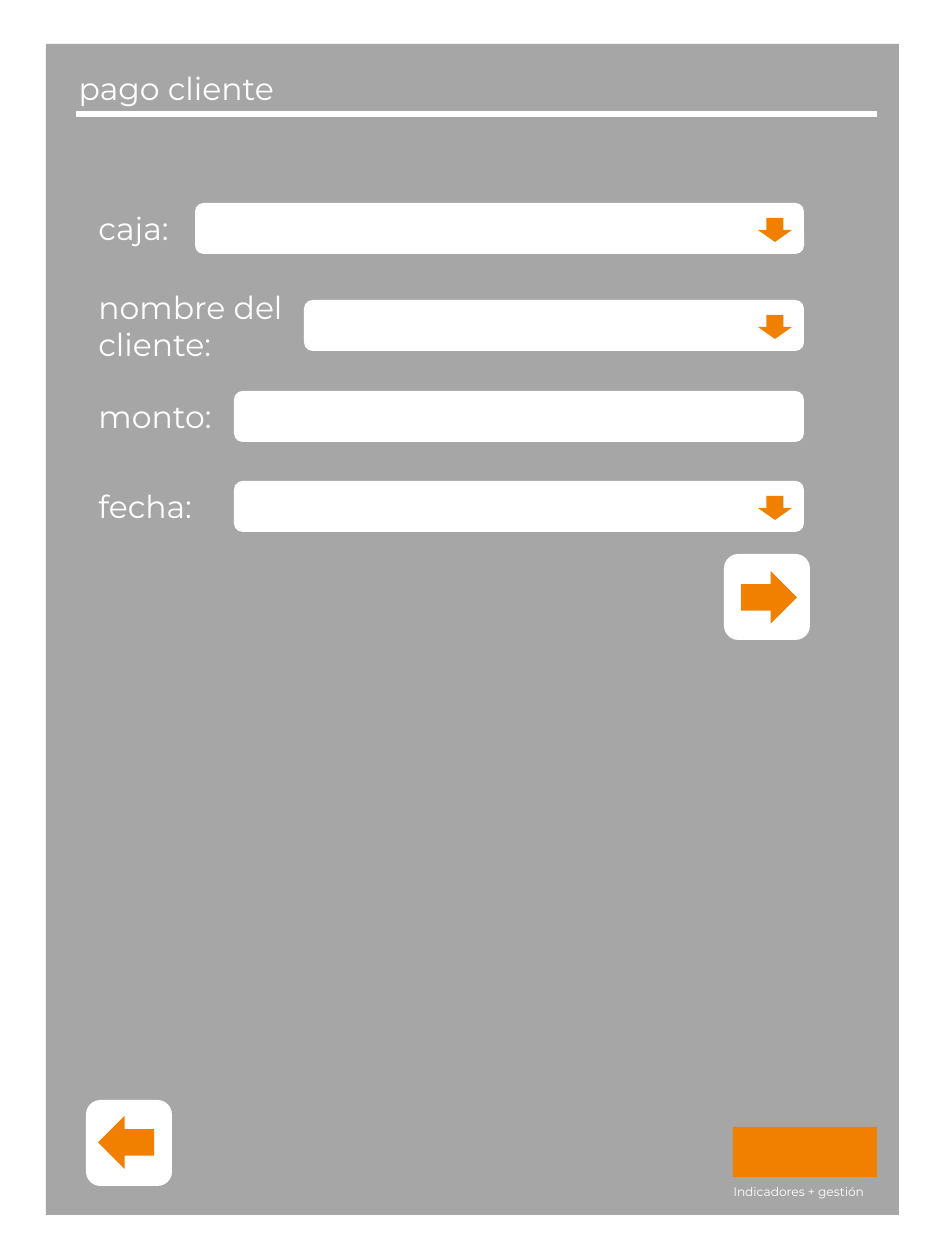
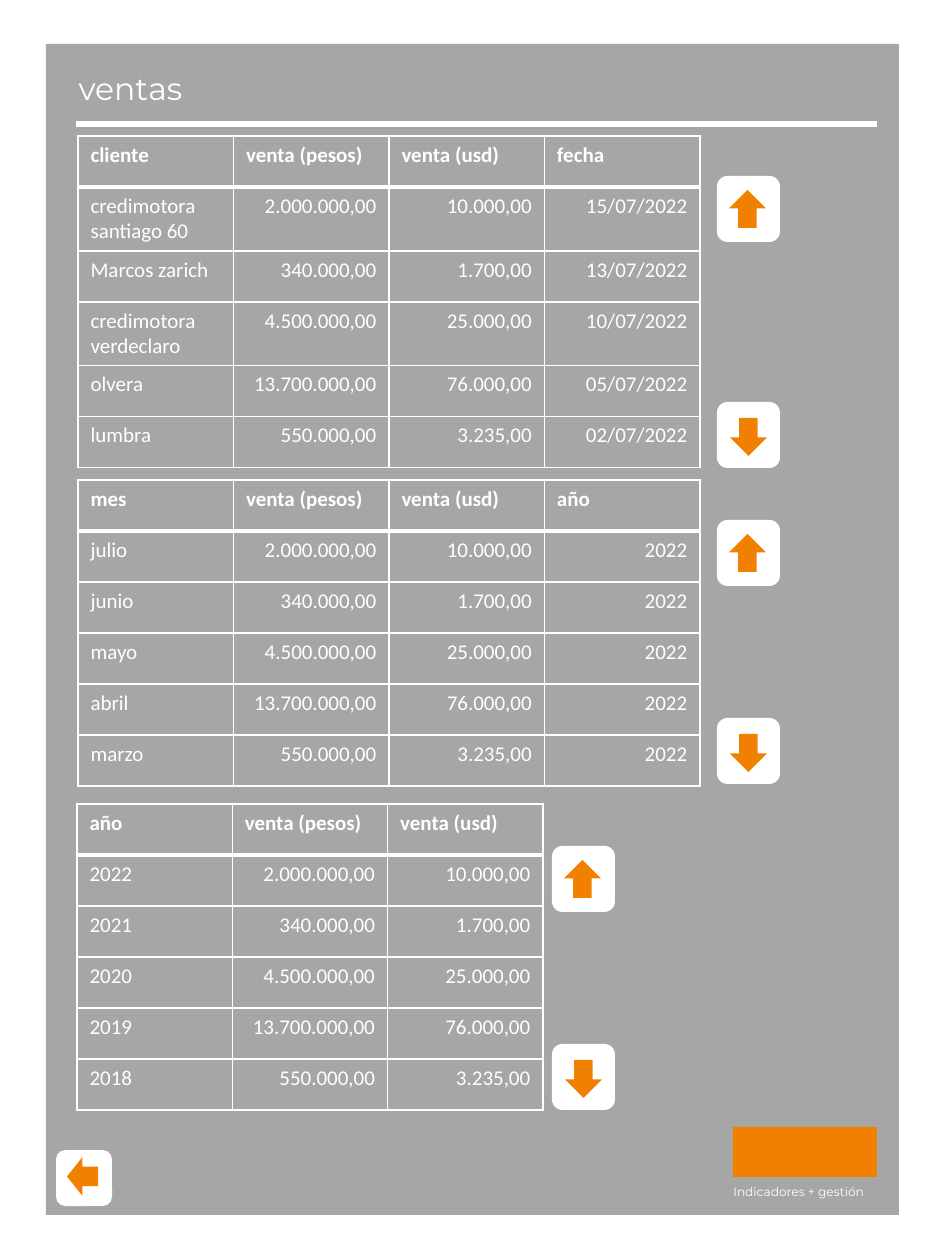
import lxml.etree
import pptx
import pptx.dml.color
import pptx.enum.shapes
import pptx.enum.text
import pptx.oxml.ns
import pptx.util

WHITE = "FFFFFF"
GRAY = "A6A6A6"
ORANGE = "F28000"
DISPLAY_FONT = "Montserrat"
TABLE_FONT = "Calibri"

SHAPE = pptx.enum.shapes.MSO_SHAPE
ALIGN = pptx.enum.text.PP_ALIGN
ANCHOR = pptx.enum.text.MSO_ANCHOR
qn = pptx.oxml.ns.qn

ARROWS = {
    "left": SHAPE.LEFT_ARROW,
    "right": SHAPE.RIGHT_ARROW,
    "up": SHAPE.UP_ARROW,
    "down": SHAPE.DOWN_ARROW,
}

SALES = [
    ("2.000.000,00", "10.000,00"),
    ("340.000,00", "1.700,00"),
    ("4.500.000,00", "25.000,00"),
    ("13.700.000,00", "76.000,00"),
    ("550.000,00", "3.235,00"),
]
CLIENTS = ["credimotora santiago 60", "Marcos zarich", "credimotora verdeclaro",
           "olvera", "lumbra"]
DATES = ["15/07/2022", "13/07/2022", "10/07/2022", "05/07/2022", "02/07/2022"]
MONTHS = ["julio", "junio", "mayo", "abril", "marzo"]
YEARS = ["2022", "2021", "2020", "2019", "2018"]


def px(length):
    return pptx.util.Emu(round(length * 914400 / 126))


def color(value):
    return pptx.dml.color.RGBColor.from_string(value)


def add_block(slide, preset, box, fill):
    block = slide.shapes.add_shape(preset, *map(px, box))
    block.shadow.inherit = False
    block.fill.solid()
    block.fill.fore_color.rgb = color(fill)
    block.line.fill.background()
    return block


def format_text(frame, size, font, align=ALIGN.LEFT, bold=False):
    for paragraph in frame.paragraphs:
        paragraph.alignment = align
        for run in paragraph.runs:
            run.font.size = pptx.util.Pt(size)
            run.font.name = font
            run.font.bold = bold
            run.font.color.rgb = color(WHITE)


def add_label(slide, box, text, size):
    label = slide.shapes.add_textbox(*map(px, box))
    label.text_frame.word_wrap = True
    label.text_frame.vertical_anchor = ANCHOR.MIDDLE
    label.text_frame.text = text
    format_text(label.text_frame, size, DISPLAY_FONT)


def add_button(slide, box, direction, arrow):
    left, top, width, height = box
    inset_x, inset_y, arrow_width, arrow_height = arrow
    add_block(slide, SHAPE.ROUNDED_RECTANGLE, box, WHITE)
    add_block(slide, ARROWS[direction],
              (left + inset_x, top + inset_y, arrow_width, arrow_height), ORANGE)


def set_title(slide, box, text):
    title = slide.shapes.title
    title.left, title.top, title.width, title.height = map(px, box)
    frame = title.text_frame
    frame.text = text
    frame.word_wrap = True
    frame.auto_size = pptx.enum.text.MSO_AUTO_SIZE.NONE
    frame.vertical_anchor = ANCHOR.TOP
    format_text(frame, 18, DISPLAY_FONT)
    title.element.getparent().append(title.element)


def add_rule(slide, left, right, y):
    rule = slide.shapes.add_connector(
        pptx.enum.shapes.MSO_CONNECTOR.STRAIGHT, px(left), px(y), px(right), px(y))
    rule.line.color.rgb = color(WHITE)
    rule.line.width = pptx.util.Pt(3)
    lxml.etree.SubElement(rule.element.spPr, qn("a:effectLst"))


def add_signature(slide, box):
    left, top, width, height = box
    add_block(slide, SHAPE.RECTANGLE, box, ORANGE)
    add_label(slide, (left - 12, top + height + 1, 189, 28), "Indicadores + gestión", 7)


def add_screen(presentation, title, rule_y):
    slide = presentation.slides.add_slide(presentation.slide_layouts[5])
    add_block(slide, SHAPE.RECTANGLE, (46, 44, 853, 1171), GRAY)
    add_signature(slide, (733, 1127, 144, 50))
    set_title(slide, (66, 63, 738, 50), title)
    add_rule(slide, 76, 877, rule_y)
    return slide


def add_field(slide, box, text, label_left, label_height, dropdown):
    left, top, width, height = box
    add_block(slide, SHAPE.ROUNDED_RECTANGLE, box, WHITE)
    label_top = top + (height - label_height) // 2
    add_label(slide, (label_left, label_top, left - label_left, label_height), text, 18)
    if dropdown:
        add_block(slide, SHAPE.DOWN_ARROW, (left + width - 46, top + 15, 34, 24), ORANGE)


def draw_borders(cell, row):
    properties = cell._tc.get_or_add_tcPr()
    for side in "LRTB":
        heavy = (row, side) in ((0, "B"), (1, "T"))
        border = lxml.etree.SubElement(properties, qn(f"a:ln{side}"),
                                       w=str(pptx.util.Pt(3 if heavy else 1)))
        fill = lxml.etree.SubElement(border, qn("a:solidFill"))
        lxml.etree.SubElement(fill, qn("a:srgbClr"), val=WHITE)


def add_sales_table(slide, box, header, records):
    rows = [header, *records]
    table = slide.shapes.add_table(len(rows), len(header), *map(px, box)).table
    table.horz_banding = False
    for r, values in enumerate(rows):
        for c, value in enumerate(values):
            cell = table.cell(r, c)
            draw_borders(cell, r)
            cell.fill.background()
            cell.text_frame.text = value
            align = ALIGN.RIGHT if r and c else ALIGN.LEFT
            format_text(cell.text_frame, 12, TABLE_FONT, align, bold=r == 0)


def add_scroll(slide, left, up_top, down_top):
    add_button(slide, (left, up_top, 63, 66), "up", (12, 14, 37, 38))
    add_button(slide, (left, down_top, 63, 66), "down", (13, 16, 37, 38))


def build_payment(presentation):
    slide = add_screen(presentation, "pago cliente", 114)
    right = 804
    fields = [
        ("caja:", 195, 203, 50, True),
        ("nombre del cliente:", 304, 300, 89, True),
        ("monto:", 234, 391, 50, False),
        ("fecha:", 234, 481, 50, True),
    ]
    for text, left, top, label_height, dropdown in fields:
        add_field(slide, (left, top, right - left, 51), text, 86, label_height, dropdown)
    add_button(slide, (86, 1100, 86, 86), "left", (12, 16, 56, 53))
    add_button(slide, (724, 554, 86, 86), "right", (17, 17, 56, 53))


def build_sales(presentation):
    slide = add_screen(presentation, "ventas", 124)
    add_button(slide, (56, 1150, 56, 56), "left", (11, 7, 31, 39))
    amounts = ["venta (pesos)", "venta (usd)"]
    by_client = [(client, *sale, date) for client, sale, date in zip(CLIENTS, SALES, DATES)]
    by_month = [(month, *sale, "2022") for month, sale in zip(MONTHS, SALES)]
    by_year = [(year, *sale) for year, sale in zip(YEARS, SALES)]

    add_sales_table(slide, (78, 136, 622, 306), ["cliente", *amounts, "fecha"], by_client)
    add_scroll(slide, 717, 176, 402)
    add_sales_table(slide, (78, 480, 622, 306), ["mes", *amounts, "año"], by_month)
    add_scroll(slide, 717, 520, 718)
    add_sales_table(slide, (77, 804, 466, 306), ["año", *amounts], by_year)
    add_scroll(slide, 552, 846, 1044)


def main():
    presentation = pptx.Presentation()
    presentation.slide_width = px(945)
    presentation.slide_height = px(1260)
    build_payment(presentation)
    build_sales(presentation)
    presentation.save("out.pptx")


if __name__ == "__main__":
    main()
